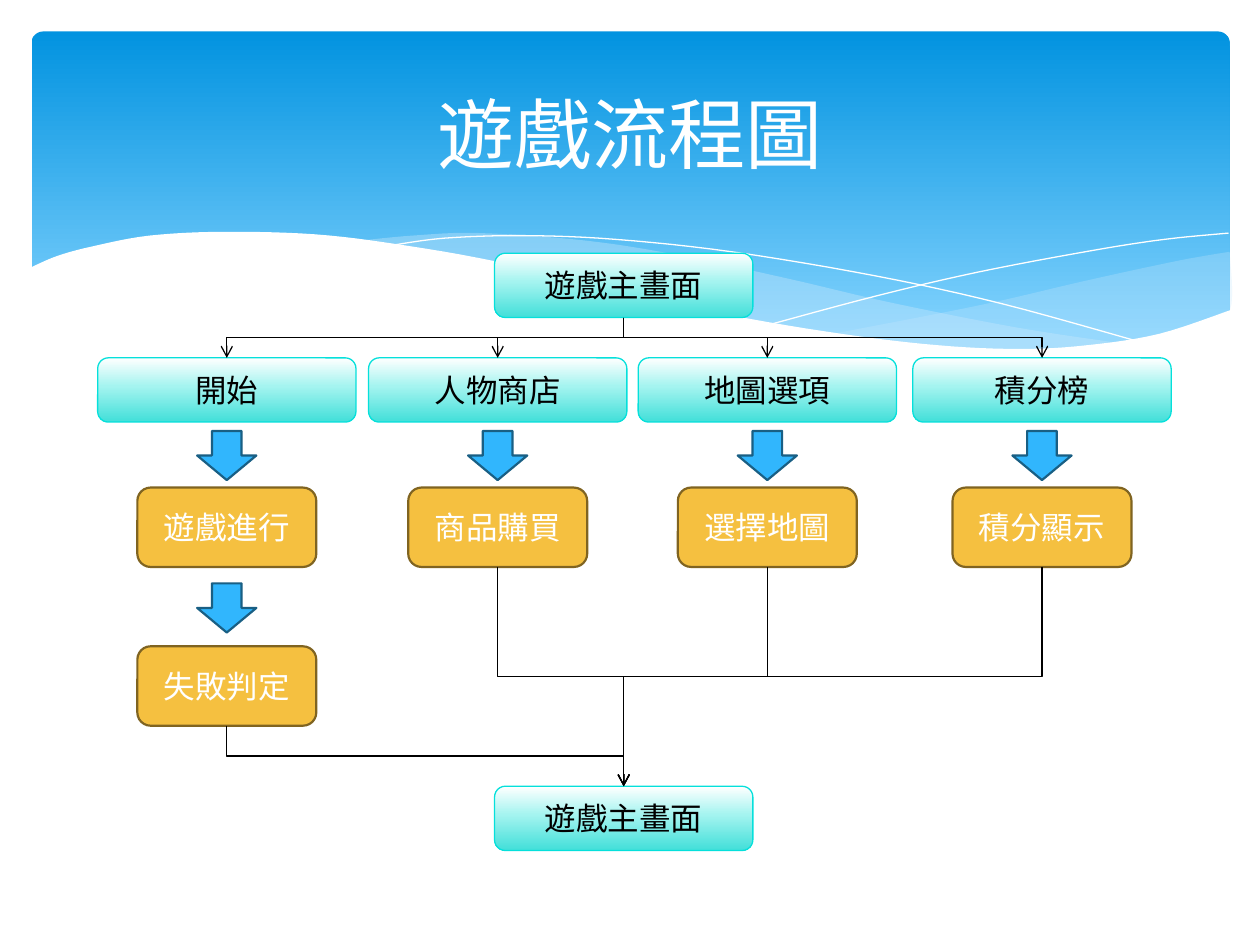
from dataclasses import dataclass
from typing import Optional

from lxml import etree
from pptx import Presentation
from pptx import util as u
from pptx.dml.color import RGBColor
from pptx.enum import shapes, text
from pptx.oxml.ns import qn

WHITE = RGBColor(0xFF, 0xFF, 0xFF)
BLACK = RGBColor(0, 0, 0)
PALE = RGBColor(0xC6, 0xE7, 0xFC)
SKY = RGBColor(0x31, 0xB6, 0xFD)
NAVY = RGBColor(0x19, 0x5F, 0x84)
GOLD = RGBColor(0xF5, 0xC0, 0x40)
BROWN = RGBColor(0x80, 0x64, 0x21)
AQUA = RGBColor(0x05, 0xE0, 0xDB)
BLUES = [(0, RGBColor(0x02, 0x93, 0xE0)), (90, RGBColor(0x83, 0xD3, 0xFE))]
AQUAS = [(0, WHITE), (44, RGBColor(0xA5, 0xF4, 0xF0)), (100, RGBColor(0x42, 0xDF, 0xD9))]
KIND = shapes.MSO_SHAPE
Point = tuple[float, float]


@dataclass
class Look:
    """Size and colours of one kind of shape."""
    kind: int
    wide: float
    high: float
    fill: object
    edge: RGBColor
    width: float
    ink: RGBColor


@dataclass
class Wave:
    """A curve through points, closed by corners when filled."""
    points: list[Point]
    ends: list[Point]
    fill: Optional[RGBColor] = None
    alpha: int = 100


MENU = Look(KIND.FLOWCHART_ALTERNATE_PROCESS, 2.05, 0.51, AQUAS, AQUA, 0.75, BLACK)
STEP = Look(KIND.FLOWCHART_ALTERNATE_PROCESS, 1.42, 0.63, GOLD, BROWN, 1.25, WHITE)
ARROW = Look(KIND.DOWN_ARROW, 0.47, 0.39, SKY, NAVY, 1.25, WHITE)

WAVES = [
    Wave([(9.75, 2), (9.35, 2.07), (8.61, 2.23), (7.79, 2.42), (6.61, 2.65)], [], PALE, 29),
    Wave([(8.93, 2.73), (8.07, 2.6), (7.06, 2.4), (6.29, 2.22), (5.41, 2.03),
          (4.65, 1.91), (3.8, 1.85), (3.28, 1.87), (2.86, 1.91)], [], PALE, 40),
    Wave([(3.09, 1.95), (3.53, 1.89), (4.16, 1.87), (4.89, 1.9), (5.82, 2),
          (6.95, 2.19), (7.95, 2.41), (9.07, 2.72)], []),
    Wave([(6.13, 2.57), (6.95, 2.35), (7.76, 2.16), (8.66, 1.99), (9.24, 1.9),
          (9.75, 1.85)], []),
    Wave([(9.77, 2.46), (9.2, 2.65), (8.63, 2.74), (8.09, 2.77), (7.44, 2.74),
          (6.68, 2.65), (5.79, 2.5), (4.75, 2.27), (3.91, 2.07), (3.16, 1.94),
          (2.5, 1.86), (1.77, 1.84), (1.19, 1.87), (0.76, 1.95), (0.46, 2.03),
          (0.23, 2.13)], [(0.23, 3.29), (9.77, 3.29)], WHITE),
]
# Lower edges that close the two pale waves
WAVES[0].ends = [(6.91, 2.69), (7.32, 2.74), (7.81, 2.77), (8.14, 2.78), (8.54, 2.76),
                 (8.89, 2.72), (9.21, 2.65), (9.49, 2.57), (9.76, 2.47), (9.76, 2)]
WAVES[1].ends = [(3.42, 1.99), (4.04, 2.11), (4.91, 2.32), (5.66, 2.48), (6.34, 2.61),
                 (6.95, 2.7), (7.48, 2.76), (7.96, 2.78), (8.48, 2.77)]


def smooth(pts: list[Point], steps: int = 6) -> list[Point]:
    """Catmull-Rom curve through the points."""
    full = [pts[0], *pts, pts[-1]]
    out = [pts[0]]
    for a, b, c, d in zip(full, full[1:], full[2:], full[3:]):
        for n in range(1, steps + 1):
            t = n / steps
            out.append(tuple(
                (2 * q + (r - p) * t + (2 * p - 5 * q + 4 * r - s) * t ** 2
                 + (3 * q - p - 3 * r + s) * t ** 3) / 2
                for p, q, r, s in zip(a, b, c, d)))
    return out


def blend(shape, stops) -> None:
    """Fill from top to bottom through the colour stops."""
    shape.fill.gradient()
    shape.fill.gradient_angle = 270
    group = shape.element.spPr.find(qn("a:gradFill")).find(qn("a:gsLst"))
    for old in list(group):
        group.remove(old)
    for pos, color in stops:
        stop = etree.SubElement(group, qn("a:gs"), pos=str(pos * 1000))
        etree.SubElement(stop, qn("a:srgbClr"), val=str(color))


def paint(shape, fill) -> None:
    if isinstance(fill, list):
        blend(shape, fill)
    else:
        shape.fill.solid()
        shape.fill.fore_color.rgb = fill


def write(shape, words: str, size: float, ink: RGBColor) -> None:
    frame = shape.text_frame
    frame.word_wrap = True
    frame.vertical_anchor = text.MSO_ANCHOR.MIDDLE
    para = frame.paragraphs[0]
    para.alignment = text.PP_ALIGN.CENTER
    run = para.add_run()
    run.text = words
    for key, val in {"name": "Calibri", "size": u.Pt(size), "bold": False}.items():
        setattr(run.font, key, val)
    run.font.color.rgb = ink


def draw(slide, look: Look, mid: float, top: float, words: str = ""):
    """Add a shape centred on mid."""
    shape = slide.shapes.add_shape(look.kind, u.Inches(mid - look.wide / 2), u.Inches(top),
                                   u.Inches(look.wide), u.Inches(look.high))
    shape.shadow.inherit = False
    paint(shape, look.fill)
    shape.line.color.rgb = look.edge
    shape.line.width = u.Pt(look.width)
    if words:
        write(shape, words, 18, look.ink)
    return shape


def swell(slide, wave: Wave) -> None:
    ends = wave.ends
    if wave.alpha < 100:
        ends = smooth([wave.points[-1], *ends])[1:]
    pts = [(u.Inches(x), u.Inches(y)) for x, y in smooth(wave.points) + ends]
    path = slide.shapes.build_freeform(*pts[0])
    path.add_line_segments(pts[1:], close=wave.fill is not None)
    shape = path.convert_to_shape()
    shape.shadow.inherit = False
    if wave.fill is None:
        shape.fill.background()
        shape.line.color.rgb = WHITE
        shape.line.width = u.Pt(0)
        return
    paint(shape, wave.fill)
    shape.line.fill.background()
    if wave.alpha < 100:
        color = shape.element.spPr.find(qn("a:solidFill"))[0]
        etree.SubElement(color, qn("a:alpha"), val=str(wave.alpha * 1000))


def join(slide, start, end) -> None:
    """Elbow from the bottom of start to the top of end, bent halfway."""
    x1, y1 = start.left + start.width // 2, start.top + start.height
    x2, y2 = end.left + end.width // 2, end.top
    link = slide.shapes.add_connector(shapes.MSO_CONNECTOR.ELBOW, x1, y1, x2, y2)
    link.begin_connect(start, 2)
    link.end_connect(end, 0)
    # A turned frame makes the elbow leave and arrive vertically
    wide, high = y2 - y1, abs(x2 - x1)
    place = {"left": (x1 + x2 - wide) // 2, "top": (y1 + y2 - high) // 2,
             "width": wide, "height": high}
    for key, val in place.items():
        setattr(link, key, val)
    props = link.element.spPr
    frame = props.find(qn("a:xfrm"))
    right = x2 > x1
    for key, val in {"rot": "16200000" if right else "5400000",
                     "flipH": "1" if right else "0", "flipV": "0"}.items():
        frame.set(key, val)
    link.line.color.rgb = BLACK
    link.line.width = u.Pt(0.75)
    etree.SubElement(props.find(qn("a:ln")), qn("a:tailEnd"), type="arrow")
    etree.SubElement(props, qn("a:effectLst"))


def main() -> None:
    deck = Presentation()
    deck.slide_width, deck.slide_height = u.Inches(10), u.Inches(7.5)
    slide = deck.slides.add_slide(deck.slide_layouts[5])

    # Banner and waves
    sheet = slide.shapes.add_shape(KIND.ROUNDED_RECTANGLE, u.Inches(0.25), u.Inches(0.25),
                                   u.Inches(9.51), u.Inches(2.7))
    sheet.adjustments[0] = 0.034
    sheet.shadow.inherit = False
    blend(sheet, BLUES)
    sheet.line.fill.background()
    for wave in WAVES:
        swell(slide, wave)

    # Title, in front of the banner
    title = slide.shapes.title
    title.element.getparent().append(title.element)
    for key, val in {"left": 0.5, "top": 0.37, "width": 9, "height": 1.37}.items():
        setattr(title, key, u.Inches(val))
    write(title, "遊戲流程圖", 44, WHITE)

    # Main screen at both ends of the flow
    first, last = [draw(slide, MENU, 4.95, top, "遊戲主畫面") for top in (2.01, 6.24)]

    # One column for each menu choice
    for mid, name, words in [(1.8, "開始", "遊戲進行"), (3.95, "人物商店", "商品購買"),
                             (6.09, "地圖選項", "選擇地圖"), (8.27, "積分榜", "積分顯示")]:
        menu = draw(slide, MENU, mid, 2.84, name)
        draw(slide, ARROW, mid, 3.42)
        step = draw(slide, STEP, mid, 3.87, words)
        if name == "開始":
            draw(slide, ARROW, mid, 4.63)
            step = draw(slide, STEP, mid, 5.13, "失敗判定")
        join(slide, first, menu)
        join(slide, step, last)

    deck.save("out.pptx")


if __name__ == "__main__":
    main()
